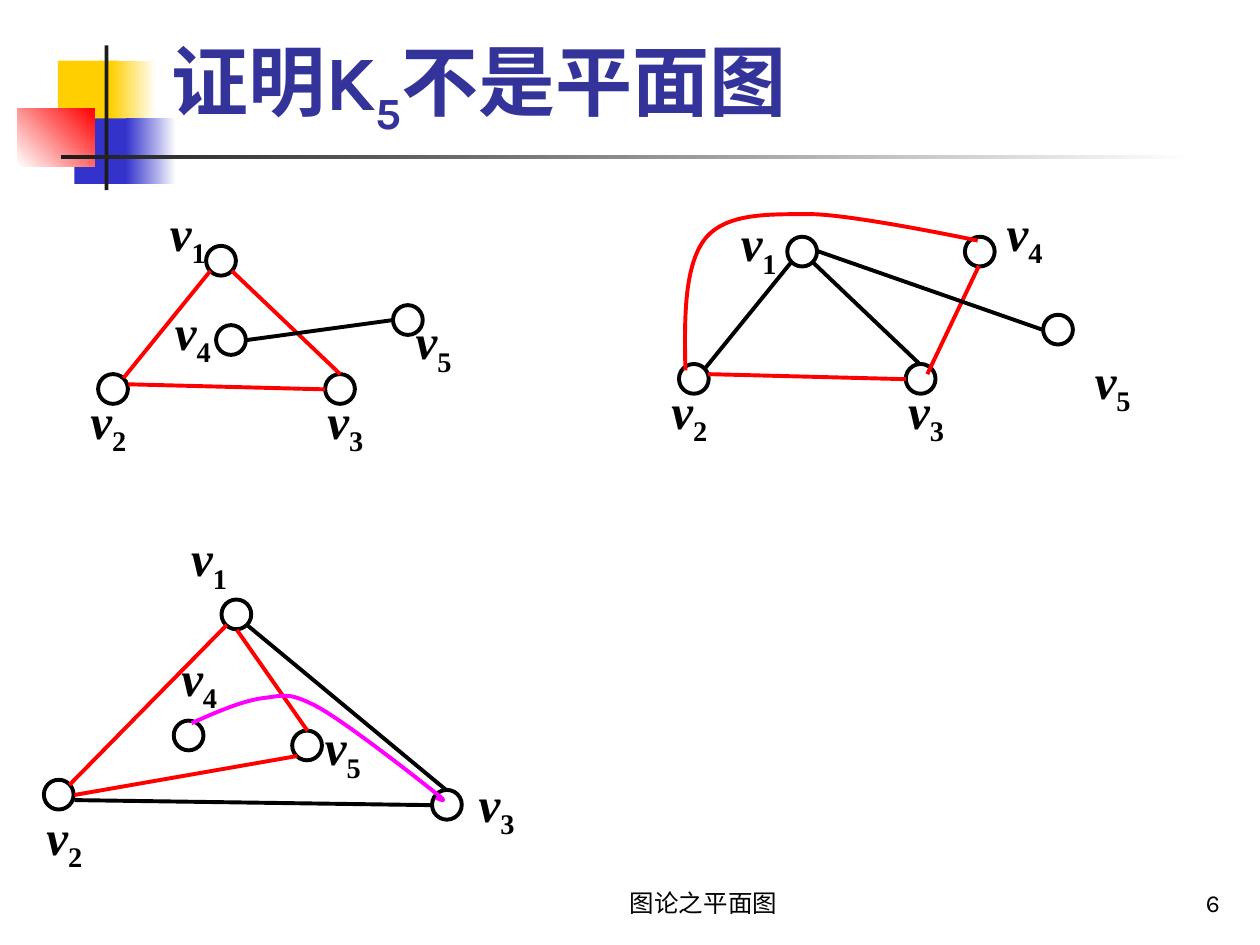
from dataclasses import dataclass
from typing import NamedTuple, Optional

from lxml import etree
from pptx import Presentation
from pptx.dml.color import RGBColor
from pptx.enum.shapes import MSO_CONNECTOR, MSO_SHAPE
from pptx.enum.text import MSO_ANCHOR, MSO_AUTO_SIZE, PP_ALIGN
from pptx.oxml.ns import qn
from pptx.util import Pt

RECTANGLE, OVAL = MSO_SHAPE.RECTANGLE, MSO_SHAPE.OVAL
STRAIGHT = MSO_CONNECTOR.STRAIGHT
LEFT, CENTER, RIGHT = PP_ALIGN.LEFT, PP_ALIGN.CENTER, PP_ALIGN.RIGHT
BOTTOM = MSO_ANCHOR.BOTTOM
FIT_SHAPE, NO_FIT = MSO_AUTO_SIZE.SHAPE_TO_FIT_TEXT, MSO_AUTO_SIZE.NONE


@dataclass(frozen=True)
class Theme:
    black: str = "000000"
    red: str = "FF0000"
    magenta: str = "FF00FF"
    white: str = "FFFFFF"
    yellow: str = "FFCF01"
    blue: str = "3333CC"
    charcoal: str = "1C1C1C"
    title: str = "333399"
    text_font: str = "Karla"
    math_font: str = "Times New Roman"
    title_size: float = 44
    label_size: float = 28
    footer_size: float = 14
    line_width: float = 2.25
    node_diameter: float = 17


THEME = Theme()


class Point(NamedTuple):
    x: float
    y: float


class Box(NamedTuple):
    left: float
    top: float
    width: float
    height: float

    def lengths(self) -> list:
        return [Pt(value) for value in self]


class Panel(NamedTuple):
    box: Box
    start: str
    end: Optional[str] = None
    angle: float = 0


class Vertex(NamedTuple):
    index: str
    center: Point
    label: Point


class Edge(NamedTuple):
    start: Point
    end: Point
    color: str = THEME.black


class Curve(NamedTuple):
    points: list
    color: str


class Graph(NamedTuple):
    vertices: list
    edges: list
    curve: Optional[Curve] = None


PANELS = [
    Panel(Box(33.1, 34.6, 34.6, 37.4), THEME.yellow),
    Panel(Box(63.4, 34.6, 25.9, 37.4), THEME.yellow, THEME.white),
    Panel(Box(42.5, 67.7, 33.1, 37.4), THEME.blue),
    Panel(Box(72, 67.7, 28.8, 37.4), THEME.blue, THEME.white),
    Panel(Box(10.1, 61.9, 43.9, 33.1), THEME.white, THEME.red, 45),
    Panel(Box(59.8, 25.9, 2.2, 82.8), THEME.charcoal),
    Panel(Box(34.6, 88.6, 648, 2.2), THEME.charcoal, THEME.white),
]

GRAPHS = [
    Graph(
        [Vertex("1", Point(126.3, 149), Point(90, 112.3)),
         Vertex("2", Point(64.6, 222.3), Point(44.6, 219.6)),
         Vertex("3", Point(194.3, 222.3), Point(180, 219.6)),
         Vertex("4", Point(132, 194.3), Point(92.9, 168.5)),
         Vertex("5", Point(233.1, 182.9), Point(230.4, 174.2))],
        [Edge(Point(120.2, 154.8), Point(70.6, 216), THEME.red),
         Edge(Point(73.4, 219.6), Point(185.8, 222.5), THEME.red),
         Edge(Point(132.5, 154.8), Point(194.4, 213.8), THEME.red),
         Edge(Point(140.4, 194.4), Point(224.6, 182.9))],
    ),
    Graph(
        [Vertex("1", Point(458.4, 143.8), Point(416.2, 118.1)),
         Vertex("2", Point(396.5, 216.5), Point(376.6, 213.8)),
         Vertex("3", Point(526.1, 216.5), Point(511.9, 213.8)),
         Vertex("4", Point(559.9, 143.8), Point(568.1, 112.3)),
         Vertex("5", Point(604.6, 188.4), Point(618.5, 196.6))],
        [Edge(Point(452.2, 149.8), Point(402.5, 211)),
         Edge(Point(404.6, 213.8), Point(517.7, 216.7), THEME.red),
         Edge(Point(464.4, 149.8), Point(525.6, 208.1)),
         Edge(Point(529.9, 213.8), Point(559.4, 151.9), THEME.red),
         Edge(Point(466.6, 143.3), Point(596.2, 188.6))],
        Curve([Point(391.7, 211.7), Point(391, 181.4), Point(391, 151.2), Point(403.2, 136.1),
               Point(415.4, 121.7), Point(438.5, 122.4), Point(464.4, 122.4),
               Point(490.3, 123.1), Point(558.7, 137.5), Point(558.7, 137.5)], THEME.red),
    ),
    Graph(
        [Vertex("1", Point(135.1, 351.1), Point(102.2, 298.1)),
         Vertex("2", Point(33.6, 454.1), Point(19.4, 457.2)),
         Vertex("3", Point(255.4, 459.9), Point(266.4, 438.5)),
         Vertex("4", Point(107.8, 420.3), Point(96.5, 366.5)),
         Vertex("5", Point(175.5, 426), Point(178.6, 406.1))],
        [Edge(Point(129.6, 357.1), Point(39.6, 448.6), THEME.red),
         Edge(Point(42.5, 457.2), Point(247, 460.1)),
         Edge(Point(141.1, 357.1), Point(254.9, 451.4)),
         Edge(Point(135.4, 360), Point(175.7, 417.6), THEME.red),
         Edge(Point(42.5, 454.3), Point(169.9, 432), THEME.red)],
        Curve([Point(109.4, 413.3), Point(123.8, 406.8), Point(139, 400.3), Point(150.5, 398.9),
               Point(162.7, 397.4), Point(164.9, 395.3), Point(181.4, 403.9),
               Point(197.3, 412.6), Point(236.9, 443.5), Point(247.7, 452.2),
               Point(259.2, 460.8), Point(249.1, 455.8), Point(249.1, 455.8)], THEME.magenta),
    ),
]


def format_run(run, font_name: str, size: float, color: str, bold=False, italic=False, subscript=False) -> None:
    run.font.name, run.font.size = font_name, Pt(size)
    run.font.bold, run.font.italic = bold, italic
    run.font.color.rgb = RGBColor.from_string(color)
    if subscript:
        run.font._element.set("baseline", "-25000")


def format_outline(shape, color: str) -> None:
    shape.line.color.rgb = RGBColor.from_string(color)
    shape.line.width = Pt(THEME.line_width)


def draw_panel(shapes, panel: Panel) -> None:
    shape = shapes.add_shape(RECTANGLE, *panel.box.lengths())
    shape.shadow.inherit = False
    shape.line.fill.background()
    if panel.end is None:
        shape.fill.solid()
        shape.fill.fore_color.rgb = RGBColor.from_string(panel.start)
        return
    shape.fill.gradient()
    shape.fill.gradient_angle = panel.angle
    for stop, color in zip(shape.fill.gradient_stops, (panel.start, panel.end)):
        stop.color.rgb = RGBColor.from_string(color)


def add_text_shadow(run) -> None:
    effects = etree.Element(qn("a:effectLst"))
    shadow = etree.SubElement(effects, qn("a:outerShdw"), dist="25400", dir="2700000")
    etree.SubElement(shadow, qn("a:srgbClr"), val=THEME.black)
    run.font._element.find(qn("a:solidFill")).addnext(effects)


def draw_title(title) -> None:
    title.left, title.top, title.width, title.height = Box(90.7, 5.8, 613.4, 77).lengths()
    frame = title.text_frame
    frame.auto_size, frame.vertical_anchor = NO_FIT, BOTTOM
    paragraph = frame.paragraphs[0]
    paragraph.alignment = LEFT
    for text, subscript in (("证明K", False), ("5", True), ("不是平面图", False)):
        run = paragraph.add_run()
        run.text = text
        format_run(run, THEME.text_font, THEME.title_size, THEME.title, bold=True, subscript=subscript)
        add_text_shadow(run)


def draw_footer(shapes, text: str, box: Box, alignment) -> None:
    frame = shapes.add_textbox(*box.lengths()).text_frame
    frame.word_wrap, frame.vertical_anchor = True, BOTTOM
    frame.text = text
    paragraph = frame.paragraphs[0]
    paragraph.alignment = alignment
    format_run(paragraph.runs[0], THEME.text_font, THEME.footer_size, THEME.black)


def draw_node(shapes, center: Point) -> None:
    diameter = THEME.node_diameter
    box = Box(center.x - diameter / 2, center.y - diameter / 2, diameter, diameter)
    shape = shapes.add_shape(OVAL, *box.lengths())
    shape.shadow.inherit = False
    shape.fill.background()
    format_outline(shape, THEME.black)


def draw_label(shapes, vertex: Vertex) -> None:
    frame = shapes.add_textbox(*Box(*vertex.label, 36.7, 41).lengths()).text_frame
    frame.word_wrap, frame.auto_size = False, FIT_SHAPE
    for text, is_index in (("v", False), (vertex.index, True)):
        run = frame.paragraphs[0].add_run()
        run.text = text
        format_run(run, THEME.math_font, THEME.label_size, THEME.black,
                   bold=True, italic=not is_index, subscript=is_index)


def draw_edge(shapes, edge: Edge) -> None:
    connector = shapes.add_connector(STRAIGHT, *[Pt(value) for value in (*edge.start, *edge.end)])
    format_outline(connector, edge.color)
    etree.SubElement(connector._element.spPr, qn("a:effectLst"))


def draw_curve(shapes, curve: Curve) -> None:
    start, *others = [(Pt(point.x), Pt(point.y)) for point in curve.points]
    builder = shapes.build_freeform(*start)
    builder.add_line_segments(others, close=False)
    shape = builder.convert_to_shape()
    shape.shadow.inherit = False
    shape.fill.background()
    format_outline(shape, curve.color)
    path = next(shape._element.iter(qn("a:path")))
    segments = path.findall(qn("a:lnTo"))
    for first in range(0, len(segments), 3):
        bezier = etree.SubElement(path, qn("a:cubicBezTo"))
        for segment in segments[first:first + 3]:
            bezier.append(segment[0])
            path.remove(segment)


def draw_graph(slide, graph: Graph) -> None:
    shapes = slide.shapes.add_group_shape().shapes
    for vertex in graph.vertices:
        draw_node(shapes, vertex.center)
    for edge in graph.edges:
        draw_edge(shapes, edge)
    for vertex in graph.vertices:
        draw_label(shapes, vertex)
    if graph.curve:
        draw_curve(shapes, graph.curve)


def main() -> None:
    presentation = Presentation()
    presentation.slide_width, presentation.slide_height = Pt(720), Pt(540)
    slide = presentation.slides.add_slide(presentation.slide_layouts[5])
    for panel in PANELS:
        draw_panel(slide.shapes, panel)
    draw_title(slide.shapes.title)
    draw_footer(slide.shapes, "图论之平面图", Box(288, 491.8, 228.2, 36), CENTER)
    draw_footer(slide.shapes, "6", Box(554.4, 491.8, 149.8, 36), RIGHT)
    for graph in GRAPHS:
        draw_graph(slide, graph)
    presentation.save("out.pptx")


if __name__ == "__main__":
    main()
